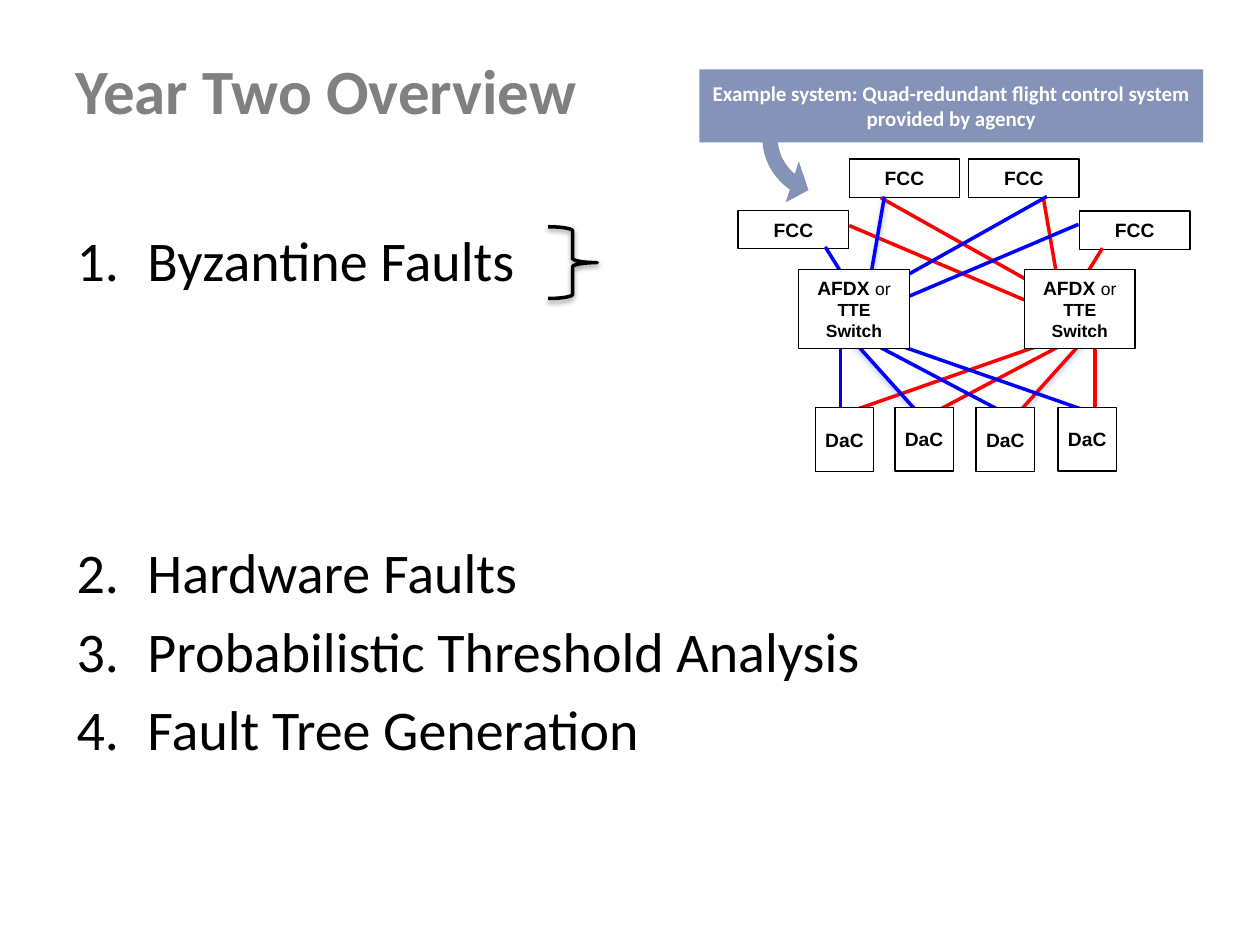
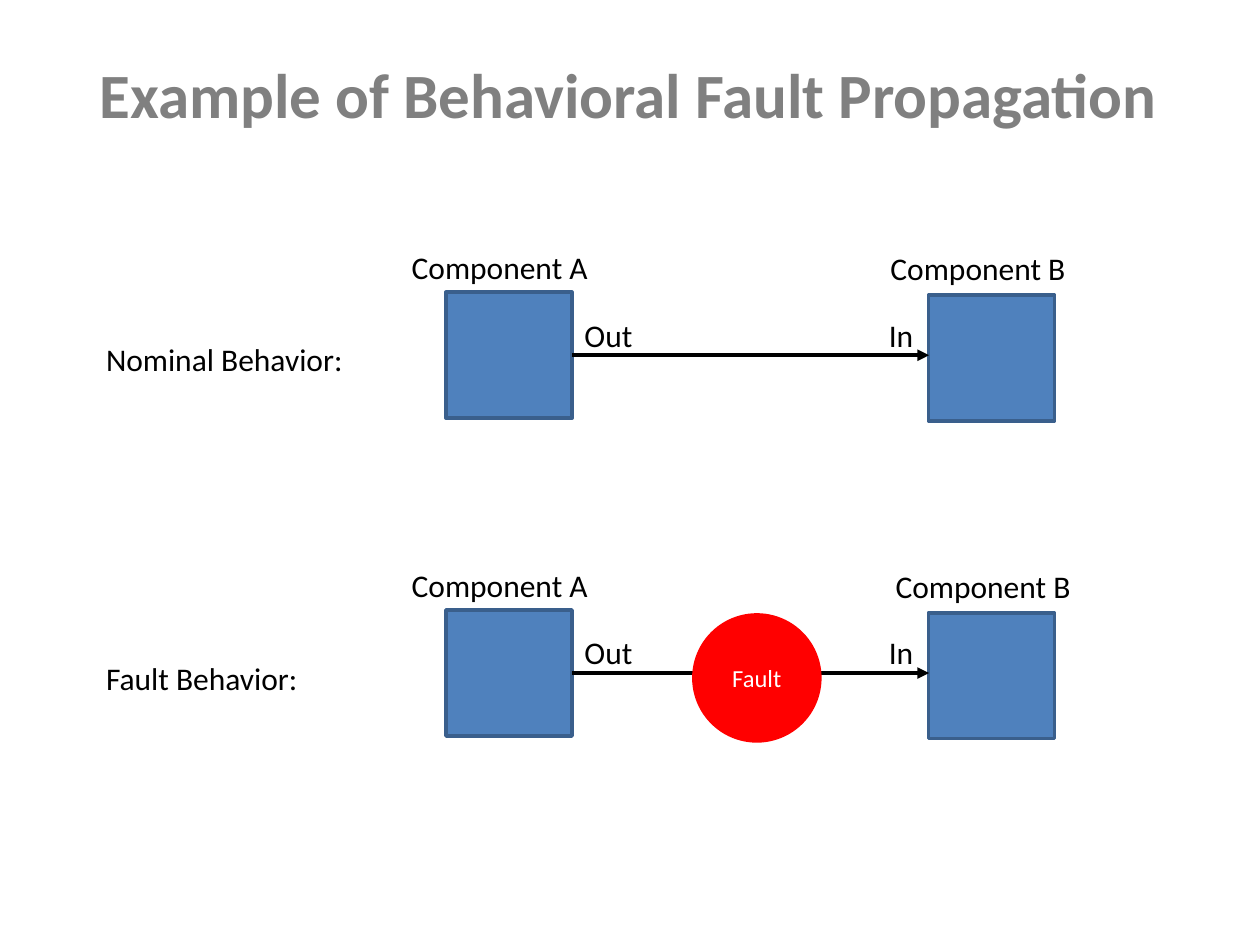
from dataclasses import dataclass

from lxml.etree import SubElement
from pptx import Presentation
from pptx.dml.color import RGBColor
from pptx.enum.shapes import MSO_CONNECTOR as Connector, MSO_SHAPE as Preset
from pptx.enum.text import MSO_ANCHOR as Anchor, PP_ALIGN as Align
from pptx.oxml.ns import qn
from pptx.util import Pt


@dataclass(frozen=True)
class Theme:
    heading: str = "808080"
    ink: str = "000000"
    paper: str = "FFFFFF"
    banner: str = "8693B8"
    component: str = "4F81BD"
    component_edge: str = "3A5F8C"
    red: str = "FF0000"
    blue: str = "0000FF"
    glow: str = "3366FF"
    body_font: str = "Calibri"
    diagram_font: str = "Arial"
    title_size: int = 36
    list_size: int = 32
    label_size: int = 18
    fault_size: int = 14
    banner_size: int = 12
    node_size: int = 11
    small_size: int = 10
    line_width: float = 2


THEME = Theme()
NODE_TEXT = {"size": THEME.node_size, "name": THEME.diagram_font, "bold": True}
SMALL_TEXT = {**NODE_TEXT, "size": THEME.small_size}

# Network diagram: left, top of nodes
FCC_SPOTS = [(485.3, 90.9), (553.5, 90.9), (421.8, 120.1), (616.8, 120.5)]
DAC_SPOTS = [(465.9, 233), (511.4, 232.8), (557.8, 233), (604.6, 232.8)]
SWITCH_SPOTS = [(585.4, 154), (456.4, 154)]

# Red links as start and end; the blue ones are their mirror images
UPPER_LINKS = [(485.3, 128.9, 585.4, 171.4), (503.3, 113, 591.8, 162.7),
               (596.2, 113, 604.8, 162.7), (630, 141.8, 617, 162.7)]
LOWER_LINKS = [(481, 236.9, 602.6, 194.4), (531.4, 236.9, 612, 194.4),
               (581, 236.9, 619.2, 194.4), (625.7, 241.9, 625.7, 194.4)]
UPPER_MIRROR, LOWER_MIRROR = 1101.6, 1105.9
BLUE_RISE = 0.7
GLOWING_LINK = 2


def rgb(value):
    return RGBColor.from_string(value)


def points(*lengths):
    return [Pt(length) for length in lengths]


# Shared formatting
def set_shadow(shape, color=None):
    """Replace the style's shadow by none, or by a soft one in a colour."""
    effects = SubElement(shape._element.spPr, qn("a:effectLst"))
    if color:
        shadow = SubElement(effects, qn("a:outerShdw"), blurRad=str(Pt(3.1)),
                            dist=str(Pt(1.6)), dir="5400000", rotWithShape="0")
        tint = SubElement(shadow, qn("a:srgbClr"), val=color)
        SubElement(tint, qn("a:alpha"), val="38000")


def add_run(paragraph, text, color=THEME.ink, **formats):
    run = paragraph.add_run()
    run.text = text
    run.font.color.rgb = rgb(color)
    values = {"name": THEME.body_font, "size": THEME.label_size, **formats}
    values["size"] = Pt(values["size"])
    for attribute, value in values.items():
        setattr(run.font, attribute, value)


def write_lines(shape, lines, align=Align.CENTER):
    """Write paragraphs, each a list of (text, formats) runs."""
    frame = shape.text_frame
    for index, runs in enumerate(lines):
        paragraph = frame.add_paragraph() if index else frame.paragraphs[0]
        paragraph.alignment = align
        for text, formats in runs:
            add_run(paragraph, text, **formats)


# Element kinds
def add_text(slide, text, box, wrap=False, anchor=Anchor.TOP, **formats):
    shape = slide.shapes.add_textbox(*points(*box))
    shape.text_frame.word_wrap = wrap
    shape.text_frame.vertical_anchor = anchor
    if text:
        write_lines(shape, [[(text, formats)]], Align.LEFT)
    return shape


def add_title(slide, text, box, anchor):
    add_text(slide, text, box, True, anchor, color=THEME.heading,
             size=THEME.title_size, bold=True)


def add_figure(slide, preset, box, fill=None, line=None,
               width=THEME.line_width, shadow=None):
    shape = slide.shapes.add_shape(preset, *points(*box))
    if fill:
        shape.fill.solid()
        shape.fill.fore_color.rgb = rgb(fill)
    else:
        shape.fill.background()
    if line:
        shape.line.color.rgb = rgb(line)
        shape.line.width = Pt(width)
    else:
        shape.line.fill.background()
    set_shadow(shape, shadow)
    shape.text_frame.word_wrap = True
    shape.text_frame.vertical_anchor = Anchor.MIDDLE
    return shape


def add_line(slide, ends, color, width=THEME.line_width, shadow=None, arrow=False):
    line = slide.shapes.add_connector(Connector.STRAIGHT, *points(*ends))
    line.line.color.rgb = rgb(color)
    line.line.width = Pt(width)
    if arrow:
        SubElement(line.line._get_or_add_ln(), qn("a:tailEnd"), type="triangle")
    set_shadow(line, shadow)


def add_numbered_list(slide, items, box, indent):
    """Number the items; each comes with the space before it."""
    shape = add_text(slide, "", box, wrap=True)
    write_lines(shape, [[(text, {"size": THEME.list_size})] for text, _ in items],
                Align.LEFT)
    for paragraph, (_, gap) in zip(shape.text_frame.paragraphs, items):
        paragraph.space_before = Pt(gap)
        properties = paragraph._p.get_or_add_pPr()
        properties.set("marL", str(Pt(indent)))
        properties.set("indent", str(-Pt(indent)))
        SubElement(properties, qn("a:buFont"), typeface="+mj-lt")
        SubElement(properties, qn("a:buAutoNum"), type="arabicPeriod")


def add_node(slide, spot, size, lines, fill=THEME.paper, side_inset=0):
    node = add_figure(slide, Preset.RECTANGLE, (*spot, *size), fill,
                      THEME.ink, width=0.75)
    node.text_frame.margin_left = node.text_frame.margin_right = Pt(side_inset)
    write_lines(node, lines)


def add_links(slide, links, mirror, red_glow=None):
    for index, ends in enumerate(links):
        glow = red_glow if index == GLOWING_LINK else None
        add_line(slide, ends, THEME.red, shadow=glow)
    for index, (x1, y1, x2, y2) in enumerate(links):
        ends = (mirror - x1, y1 - BLUE_RISE, mirror - x2, y2 - BLUE_RISE)
        glow = THEME.glow if index == GLOWING_LINK else None
        add_line(slide, ends, THEME.blue, shadow=glow)


def add_network(slide):
    add_links(slide, LOWER_LINKS, LOWER_MIRROR, red_glow=THEME.glow)
    for spot in FCC_SPOTS:
        add_node(slide, spot, (63.2, 21.9), [[("FCC", NODE_TEXT)]],
                 fill=None, side_inset=7.2)
    for spot in DAC_SPOTS:
        add_node(slide, spot, (33.4, 36.3), [[("DaC", NODE_TEXT)]])
    add_links(slide, UPPER_LINKS, UPPER_MIRROR)
    switch_lines = [[("AFDX ", NODE_TEXT), ("or", {**SMALL_TEXT, "bold": False})],
                    [("TTE", SMALL_TEXT)], [("Switch", SMALL_TEXT)]]
    for spot in SWITCH_SPOTS:
        add_node(slide, spot, (63.2, 45), switch_lines)


def add_behavior(slide, caption, caption_top, top, label_b_left):
    """One row: component A sends to component B."""
    for left, box_top in ((254.9, top), (530.6, top + 1.6)):
        add_figure(slide, Preset.RECTANGLE, (left, box_top, 72, 72),
                   THEME.component, THEME.component_edge)
    add_line(slide, (326.9, top + 36, 530.9, top + 36), THEME.ink,
             width=2.25, arrow=True)
    labels = [("Component A", 228.2, top - 28.8, 124.6),
              ("Component B", label_b_left, top - 28, 125.3),
              ("Out", 326.9, top + 9.8, 43.9),
              ("In", 500.8, top + 9.8, 29.5),
              (caption, 53.5, caption_top, 168)]
    for text, left, label_top, width in labels:
        add_text(slide, text, (left, label_top, width, 29))


# Slides
def build_overview(slide):
    add_title(slide, "Year Two Overview", (36, 21.6, 648, 58.3), Anchor.MIDDLE)
    add_numbered_list(slide, [("Byzantine Faults", 6.4), ("Hardware Faults", 140),
                              ("Probabilistic Threshold Analysis", 6.4),
                              ("Fault Tree Generation", 6.4)],
                      (36.7, 125.3, 648, 356.4), indent=40.5)
    add_figure(slide, Preset.RIGHT_BRACE, (313.2, 129.6, 28.1, 41),
               line=THEME.ink, shadow=THEME.ink)
    add_network(slide)

    # Banner and its curved arrow
    banner = add_figure(slide, Preset.RECTANGLE, (399.6, 39.6, 288, 41.8),
                        THEME.banner)
    text = "Example system: Quad-redundant flight control system provided by agency"
    write_lines(banner, [[(text, {"size": THEME.banner_size, "bold": True,
                                  "color": THEME.paper})]])
    arrow = add_figure(slide, Preset.CIRCULAR_ARROW, (427.7, 34.6, 87.8, 87.8),
                       THEME.banner)
    for index, value in enumerate((0.1, 11.42, 186.24, 156.45, 0.14)):
        arrow.adjustments[index] = value
    arrow.rotation = 257
    arrow._element.spPr.find(qn("a:xfrm")).set("flipH", "1")


def build_propagation(slide):
    add_behavior(slide, "Nominal Behavior:", 190.8, 167, 501.8)
    add_behavior(slide, "Fault Behavior:", 373, 348.6, 504.7)
    fault = add_figure(slide, Preset.OVAL, (396.5, 351.4, 72, 72),
                       THEME.red, THEME.red)
    write_lines(fault, [[("Fault", {"size": THEME.fault_size,
                                    "color": THEME.paper})]])
    add_title(slide, "Example of Behavioral Fault Propagation",
              (49.7, 28.1, 658, 60.5), Anchor.TOP)


def main():
    presentation = Presentation()
    presentation.slide_width, presentation.slide_height = points(720, 540)
    blank = presentation.slide_layouts[6]
    for build in (build_overview, build_propagation):
        build(presentation.slides.add_slide(blank))
    presentation.save("out.pptx")


if __name__ == "__main__":
    main()
